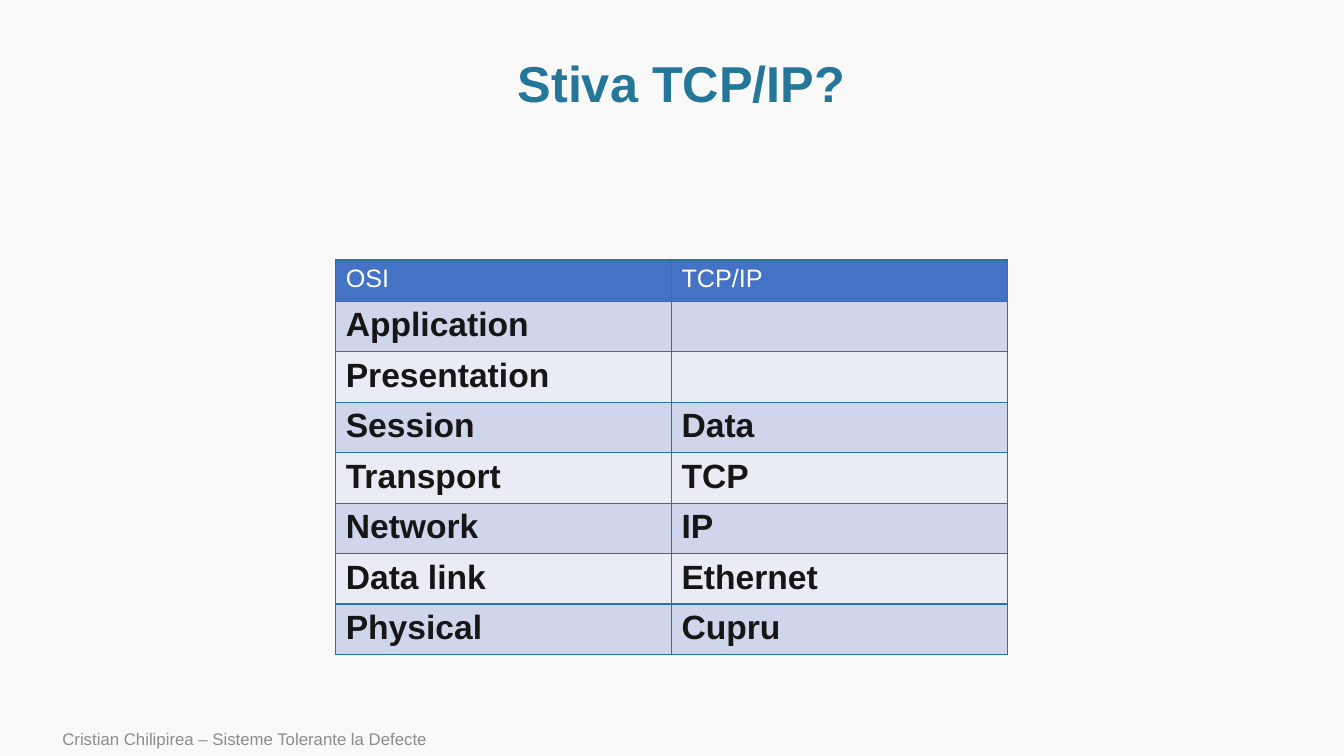
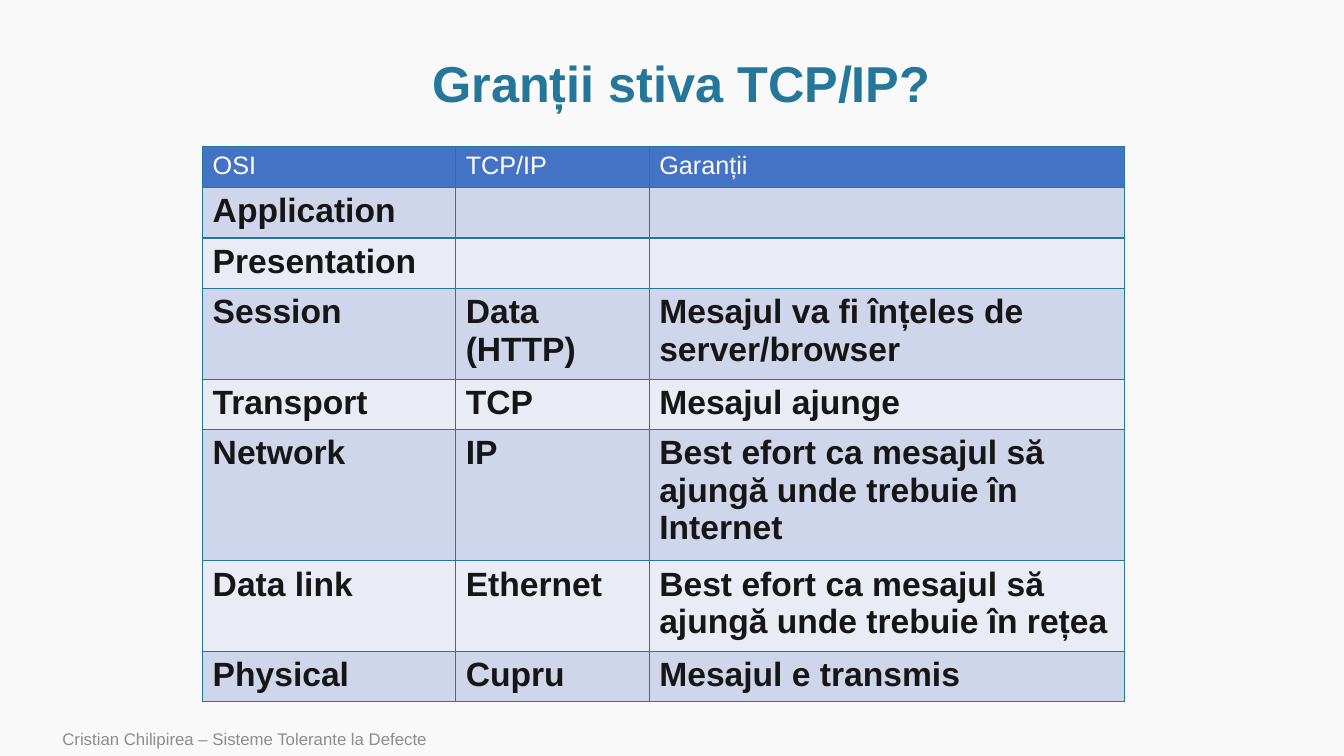
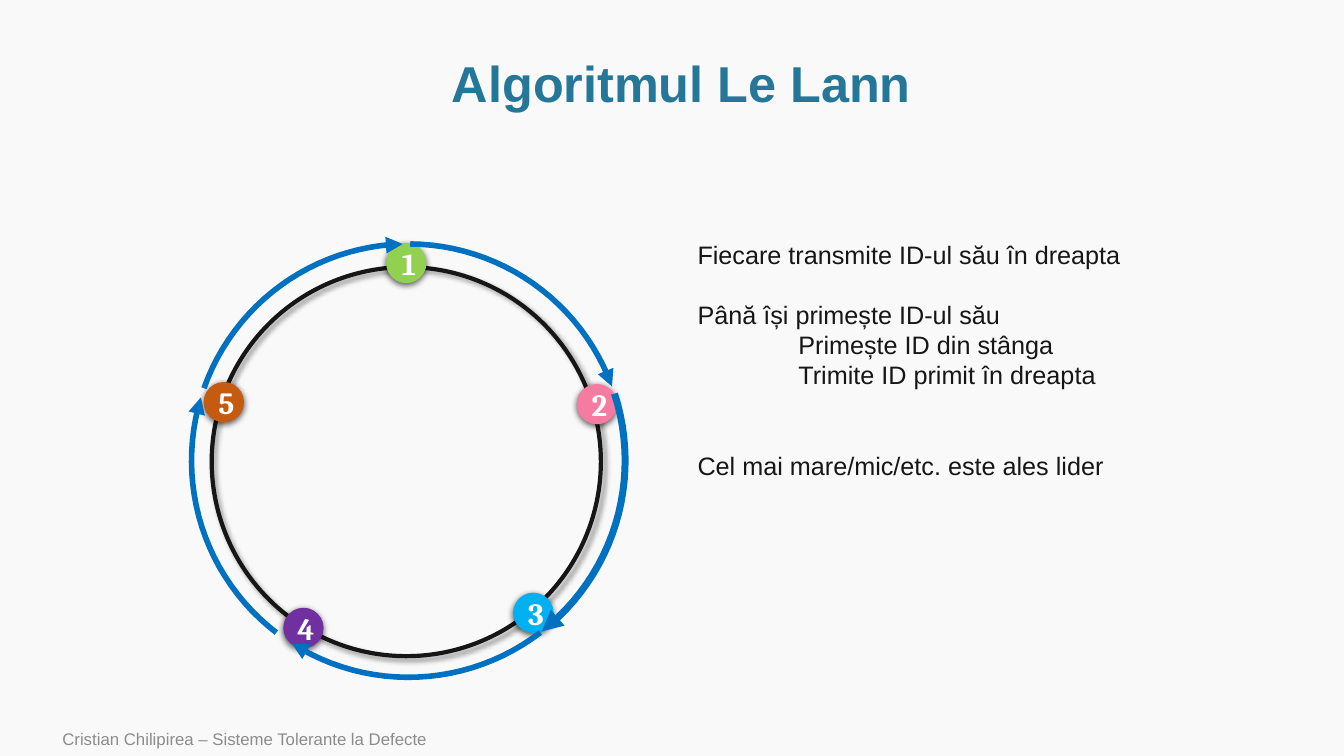
"""Three lecture slides on the TCP/IP stack and the Le Lann ring election."""
from dataclasses import dataclass
from math import cos, radians, sin

from lxml.etree import SubElement
from pptx import Presentation
from pptx.dml.color import RGBColor
from pptx.enum.shapes import MSO_SHAPE
from pptx.enum.text import MSO_ANCHOR, PP_ALIGN
from pptx.oxml.ns import qn
from pptx.presentation import Presentation as Deck
from pptx.shapes.autoshape import Shape
from pptx.slide import Slide
from pptx.table import _Cell as Cell
from pptx.text.text import _Paragraph as Paragraph
from pptx.util import Inches, Pt


@dataclass(frozen=True)
class Theme:
    """Colours, fonts and type sizes of the deck."""
    background: str = "F9F9F9"
    accent: str = "247798"
    ink: str = "171616"
    white: str = "FFFFFF"
    muted: str = "8C8C8C"
    header: str = "4472C4"
    bands: tuple[str, str] = ("CFD5EA", "E9EBF5")
    arrow: str = "0070C0"
    font: str = "Arial"
    node_font: str = "Cambria"
    title_size: float = 36
    cell_size: float = 24
    node_size: float = 22
    body_size: float = 18
    footer_size: float = 12
    body_pitch: float = 21.6


@dataclass(frozen=True)
class Shadow:
    """Outer shadow: opacity in percent, blur and distance in points, angle in degrees."""
    opacity: int
    blur: float
    distance: float
    angle: int


@dataclass(frozen=True)
class Node:
    """A numbered process on the ring, placed by its centre in inches."""
    number: int
    x: float
    y: float
    colour: str


@dataclass(frozen=True)
class Hop:
    """A message arrow, in degrees clockwise from the top of the ring."""
    start: float
    end: float
    weight: float = 4


@dataclass(frozen=True)
class Step:
    """A line of the algorithm, with the blank lines above it and its indent in inches."""
    text: str
    gap: int = 0
    indent: float = 0


THEME = Theme()
FOOTER = "Cristian Chilipirea – Sisteme Tolerante la Defecte"
LAYERS = ("Application", "Presentation", "Session", "Transport", "Network", "Data link", "Physical")
PROTOCOLS = ("", "", "Data", "TCP", "IP", "Ethernet", "Cupru")
WEB_PROTOCOLS = ("", "", "Data (HTTP)", *PROTOCOLS[3:])
GUARANTEES = (
    "", "",
    "Mesajul va fi înțeles de server/browser",
    "Mesajul ajunge",
    "Best efort ca mesajul să ajungă unde trebuie în Internet",
    "Best efort ca mesajul să ajungă unde trebuie în rețea",
    "Mesajul e transmis",
)
ROW_HEIGHT = 0.41
RING_LEFT, RING_TOP, RING_SIZE = 2.1, 2.65, 3.86
RING_SHADOW = Shadow(40, 4, 3, 45)
NODE_SIZE = 0.4
NODE_SHADOW = Shadow(63, 4.5, 1.5, 90)
NODES = (
    Node(1, 4.03, 2.61, "92D050"),
    Node(2, 5.92, 4.01, "F57BA1"),
    Node(3, 5.29, 6.08, "00B0F0"),
    Node(4, 3.01, 6.23, "7030A0"),
    Node(5, 2.22, 3.99, "C55A11"),
)
HOP_X, HOP_Y, HOP_RADIUS, HOP_SEGMENTS = 4.05, 4.57, 2.15, 24
HOPS = (Hop(0.5, 70), Hop(72, 142, 5), Hop(142.5, 212.5), Hop(217.5, 287), Hop(289.5, 358.5))
STEPS = (
    Step("Fiecare transmite ID-ul său în dreapta"),
    Step("Până își primește ID-ul său", gap=1),
    Step("Primește ID din stânga", indent=1),
    Step("Trimite ID primit în dreapta", indent=1),
    Step("Cel mai mare/mic/etc. este ales lider", gap=2),
)


def rgb(colour: str) -> RGBColor:
    """Turn a hex string into a colour."""
    return RGBColor.from_string(colour)


def set_font(paragraph: Paragraph, size: float, colour: str, bold: bool = False,
             name: str = THEME.font) -> None:
    """Set the font of a whole paragraph."""
    font = paragraph.font
    font.name, font.size, font.bold = name, Pt(size), bold
    font.color.rgb = rgb(colour)


def new_slide(deck: Deck, heading: str) -> Slide:
    """Add a slide with the shared title and footer."""
    slide = deck.slides.add_slide(deck.slide_layouts[5])
    title = slide.shapes.title
    title.left, title.top, title.width, title.height = map(Inches, (1.01, 0.51, 11.5, 0.69))
    title.text_frame.text = heading
    title.text_frame.vertical_anchor = MSO_ANCHOR.MIDDLE
    paragraph = title.text_frame.paragraphs[0]
    paragraph.alignment, paragraph.line_spacing = PP_ALIGN.CENTER, 0.9
    set_font(paragraph, THEME.title_size, THEME.accent, bold=True)

    footer = slide.shapes.add_textbox(*map(Inches, (0.52, 7.16, 8.4, 0.34))).text_frame
    footer.word_wrap, footer.vertical_anchor = True, MSO_ANCHOR.MIDDLE
    footer.text = FOOTER
    set_font(footer.paragraphs[0], THEME.footer_size, THEME.muted)
    return slide


def set_borders(cell: Cell) -> None:
    """Draw a thin accent line on each side of a cell."""
    properties = cell._tc.get_or_add_tcPr()
    for side in ("a:lnL", "a:lnR", "a:lnT", "a:lnB"):
        line = SubElement(properties, qn(side), w=str(Pt(1)))
        SubElement(SubElement(line, qn("a:solidFill")), qn("a:srgbClr"), val=THEME.accent)


def add_stack_table(slide: Slide, left: float, top: float, widths: tuple[float, ...],
                    columns: dict[str, tuple[str, ...]]) -> None:
    """Add a banded table from column headings and their entries."""
    rows = [tuple(columns), *zip(*columns.values())]
    table = slide.shapes.add_table(
        len(rows), len(widths), Inches(left), Inches(top),
        Inches(sum(widths)), Inches(ROW_HEIGHT * len(rows))).table
    table.horz_banding = False
    for column, width in zip(table.columns, widths):
        column.width = Inches(width)
    for row_index, row in enumerate(rows):
        is_header = row_index == 0
        table.rows[row_index].height = Inches(ROW_HEIGHT)
        for column_index, entry in enumerate(row):
            cell = table.cell(row_index, column_index)
            set_borders(cell)
            cell.fill.solid()
            cell.fill.fore_color.rgb = rgb(
                THEME.header if is_header else THEME.bands[(row_index - 1) % 2])
            if not entry:
                continue
            cell.text = entry
            paragraph = cell.text_frame.paragraphs[0]
            if is_header:
                set_font(paragraph, THEME.body_size, THEME.white)
            else:
                set_font(paragraph, THEME.cell_size, THEME.ink, bold=True)


def add_shadow(shape: Shape, shadow: Shadow) -> None:
    """Give a shape a soft black shadow."""
    shape.shadow.inherit = False
    outer = SubElement(
        shape.element.spPr.find(qn("a:effectLst")), qn("a:outerShdw"),
        blurRad=str(Pt(shadow.blur)), dist=str(Pt(shadow.distance)),
        dir=str(shadow.angle * 60000), algn="ctr", rotWithShape="0")
    black = SubElement(outer, qn("a:srgbClr"), val="000000")
    SubElement(black, qn("a:alpha"), val=str(shadow.opacity * 1000))


def add_ring(slide: Slide) -> None:
    """Draw the ring that joins the nodes."""
    ring = slide.shapes.add_shape(
        MSO_SHAPE.OVAL, *map(Inches, (RING_LEFT, RING_TOP, RING_SIZE, RING_SIZE)))
    ring.fill.background()
    ring.line.width = Pt(3)
    ring.line.color.rgb = rgb(THEME.ink)
    add_shadow(ring, RING_SHADOW)


def add_node(slide: Slide, node: Node) -> None:
    """Draw a numbered node."""
    left, top = node.x - NODE_SIZE / 2, node.y - NODE_SIZE / 2
    disc = slide.shapes.add_shape(
        MSO_SHAPE.OVAL, *map(Inches, (left, top, NODE_SIZE, NODE_SIZE)))
    disc.fill.solid()
    disc.fill.fore_color.rgb = rgb(node.colour)
    disc.line.fill.background()
    add_shadow(disc, NODE_SHADOW)
    label = disc.text_frame
    label.word_wrap, label.vertical_anchor = False, MSO_ANCHOR.MIDDLE
    label.margin_left = Inches(0.05)
    label.margin_right = label.margin_top = label.margin_bottom = 0
    label.text = str(node.number)
    label.paragraphs[0].alignment = PP_ALIGN.CENTER
    set_font(label.paragraphs[0], THEME.node_size, THEME.white, True, THEME.node_font)


def add_hop(slide: Slide, hop: Hop) -> None:
    """Draw a curved arrow along the outside of the ring."""
    step = (hop.end - hop.start) / HOP_SEGMENTS
    angles = [radians(hop.start + step * index) for index in range(HOP_SEGMENTS + 1)]
    points = [(Inches(HOP_X + HOP_RADIUS * sin(angle)), Inches(HOP_Y - HOP_RADIUS * cos(angle)))
              for angle in angles]
    outline = slide.shapes.build_freeform(*points[0])
    outline.add_line_segments(points[1:], close=False)
    arrow = outline.convert_to_shape()
    arrow.shadow.inherit = False
    arrow.fill.background()
    arrow.line.width = Pt(hop.weight)
    arrow.line.color.rgb = rgb(THEME.arrow)
    SubElement(arrow.element.spPr.find(qn("a:ln")), qn("a:tailEnd"), type="triangle")


def add_steps(slide: Slide) -> None:
    """Write the steps of the algorithm."""
    frame = slide.shapes.add_textbox(*map(Inches, (6.82, 2.32, 4.44, 2.52))).text_frame
    frame.word_wrap = True
    for index, step in enumerate(STEPS):
        paragraph = frame.add_paragraph() if index else frame.paragraphs[0]
        paragraph.text = step.text
        paragraph.line_spacing = Pt(THEME.body_pitch)
        if step.gap:
            paragraph.space_before = Pt(THEME.body_pitch * step.gap)
        if step.indent:
            paragraph._p.get_or_add_pPr().set("marL", str(Inches(step.indent)))
        set_font(paragraph, THEME.body_size, THEME.ink)


def main() -> None:
    """Build and save the deck."""
    deck = Presentation()
    deck.slide_width, deck.slide_height = Inches(13.33), Inches(7.5)
    backdrop = deck.slide_master.background.fill
    backdrop.solid()
    backdrop.fore_color.rgb = rgb(THEME.background)

    stack = new_slide(deck, "Stiva TCP/IP?")
    add_stack_table(stack, 3.33, 2.58, (3.33, 3.33), {"OSI": LAYERS, "TCP/IP": PROTOCOLS})

    guarantees = new_slide(deck, "Granții stiva TCP/IP?")
    add_stack_table(guarantees, 2.01, 1.45, (2.51, 1.92, 4.71),
                    {"OSI": LAYERS, "TCP/IP": WEB_PROTOCOLS, "Garanții": GUARANTEES})

    election = new_slide(deck, "Algoritmul Le Lann")
    add_ring(election)
    for node in NODES:
        add_node(election, node)
    for hop in HOPS:
        add_hop(election, hop)
    add_steps(election)

    deck.save("out.pptx")


if __name__ == "__main__":
    main()
